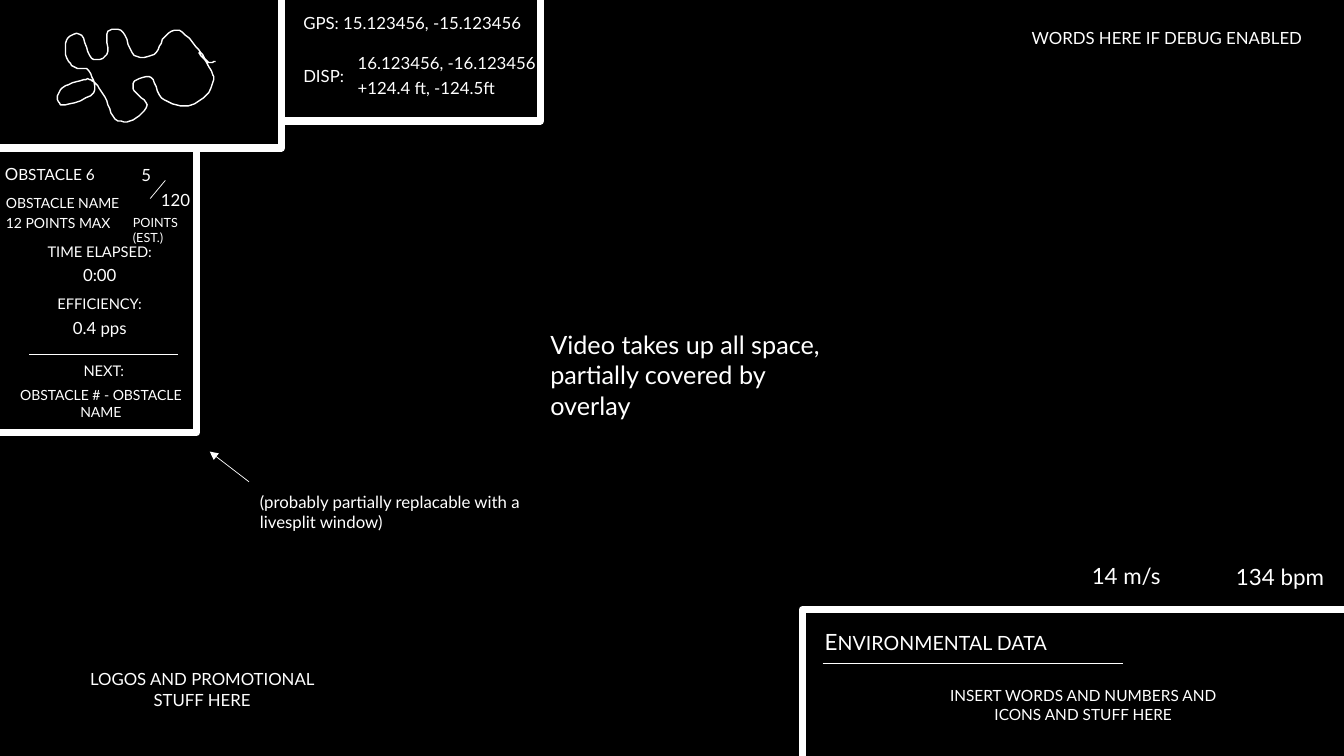
from lxml.etree import SubElement
from pptx import Presentation
from pptx.dml.color import RGBColor
from pptx.enum.shapes import MSO_CONNECTOR, MSO_SHAPE
from pptx.enum.text import MSO_ANCHOR, MSO_AUTO_SIZE, PP_ALIGN
from pptx.oxml.ns import qn
from pptx.util import Inches, Pt

BLACK = RGBColor(0, 0, 0)
WHITE = RGBColor(255, 255, 255)
FONT = "Lato"
CELL = Inches(0.1)  # square grid: 133.3 columns by 75 rows
LEFT, CENTER = PP_ALIGN.LEFT, PP_ALIGN.CENTER
WIDE, PANEL = 29.3, 21.6  # common text widths, in columns

# Bends of the course, in tenths of a grid cell
BENDS = [
    (214, 61), (206, 61), (197, 49), (178, 30), (163, 37), (153, 54),
    (133, 55), (122, 32), (107, 31), (106, 54), (91, 58), (81, 35),
    (67, 38), (66, 57), (75, 67), (88, 70), (93, 92), (65, 104),
    (57, 98), (62, 87), (83, 79), (93, 81), (104, 96), (114, 118),
    (132, 119), (146, 104), (133, 90), (134, 80), (150, 77), (160, 97),
    (183, 105), (202, 97), (212, 79), (206, 64), (197, 52),
]


def grid(*cells):
    return [int(n * CELL) for n in cells]


def smooth(bends, steps=6):
    """Points of a Catmull-Rom curve through the bends."""
    ends = [bends[0], *bends, bends[-1]]
    curve = [bends[0]]
    for a, b, c, d in zip(ends, ends[1:], ends[2:], ends[3:]):
        for t in (k / steps for k in range(1, steps + 1)):
            curve.append(tuple(
                q + t * (r - p + t * (2 * p - 5 * q + 4 * r - s
                                      + t * (3 * (q - r) + s - p))) / 2
                for p, q, r, s in zip(a, b, c, d)))
    return curve


def write(sp, words, size=12, lead=None, align=LEFT):
    """Fill a shape with white text; lead is the size of the first letter."""
    tf = sp.text_frame
    tf.word_wrap = True
    tf.auto_size = MSO_AUTO_SIZE.SHAPE_TO_FIT_TEXT
    tf.vertical_anchor = MSO_ANCHOR.TOP
    p = tf.paragraphs[0]
    p.alignment = align
    p.line_spacing = 1.0
    p.space_before = Pt(0)
    parts = [(words[0], lead), (words[1:], size)] if lead else [(words, size)]
    for part, points in parts:
        r = p.add_run()
        r.text = part
        r.font.name = FONT
        r.font.size = Pt(points)
        r.font.color.rgb = WHITE


def add_text(shapes, words, left, top, width=WIDE, height=3, **fmt):
    write(shapes.add_textbox(*grid(left, top, width, height)), words, **fmt)


def outline(sp, points):
    sp.fill.background()
    sp.line.color.rgb = WHITE
    sp.line.width = Pt(points)
    sp.shadow.inherit = False


def add_frame(shapes, left, top, width, height):
    sp = shapes.add_shape(MSO_SHAPE.RECTANGLE, *grid(left, top, width, height))
    outline(sp, 5.25)


def add_line(shapes, x1, y1, x2, y2, arrow=False):
    line = shapes.add_connector(MSO_CONNECTOR.STRAIGHT, *grid(x1, y1, x2, y2))
    line.line.color.rgb = WHITE
    line.line.width = Pt(0.5)
    if arrow:
        SubElement(line.line._get_or_add_ln(), qn("a:tailEnd"), type="triangle")
    SubElement(line._element.spPr, qn("a:effectLst"))


def add_track(shapes):
    start, *rest = smooth(BENDS)
    builder = shapes.build_freeform(*start, scale=CELL / 10)
    builder.add_line_segments(rest, close=False)
    outline(builder.convert_to_shape(), 1)


def add_obstacle_panel(shapes):
    add_frame(shapes, -2.1, 14.7, PANEL, 28.2)
    add_text(shapes, "OBSTACLE 6", -0.5, 15.8, 11.7, size=11, lead=12)
    for row, words in enumerate(("OBSTACLE NAME", "12 POINTS MAX")):
        add_text(shapes, words, -0.4, 18.8 + 2 * row, PANEL, size=10)

    # Timing and efficiency: a label with its value below
    pairs = (("TIME ELAPSED:", "0:00"), ("EFFICIENCY:", "0.4 pps"))
    for row, (label, value) in enumerate(pairs):
        top = 23.6 + 5.2 * row
        add_text(shapes, label, -0.9, top, PANEL, size=10.5, align=CENTER)
        add_text(shapes, value, -0.9, top + 2.2, PANEL, align=CENTER)

    # Next obstacle
    add_line(shapes, 2.9, 35.2, 17.7, 35.2)
    add_text(shapes, "NEXT:", -0.5, 35.4, PANEL, size=10.5, align=CENTER)
    add_text(shapes, "OBSTACLE # - OBSTACLE NAME", -0.8, 37.9, PANEL,
             size=10, align=CENTER)

    # Score
    add_text(shapes, "5", 12.7, 15.9, 3.6, align=CENTER)
    add_line(shapes, 14.9, 19.7, 16.4, 17.9)
    add_text(shapes, "120", 13.9, 18.3, 7, align=CENTER)
    add_text(shapes, "POINTS (EST.)", 12.2, 20.8, 8.7, size=9)


def add_position_panel(shapes):
    add_text(shapes, "GPS: 15.123456, -15.123456", 29.1, 0.8)
    add_text(shapes, "DISP:", 29.1, 6)
    for row, words in enumerate(("16.123456, -16.123456", "+124.4 ft, -124.5ft")):
        add_text(shapes, words, 34.5, 4.7 + 2.5 * row)


def add_environment_panel(shapes):
    add_frame(shapes, 79.6, 60.5, 55.4, 17.6)
    title = shapes.title
    title.left, title.top, title.width, title.height = grid(80.8, 61.8, WIDE, 3.7)
    write(title, "ENVIRONMENTAL DATA", size=14, lead=16)
    add_line(shapes, 81.6, 65.8, 111.4, 65.8)
    add_text(shapes, "INSERT WORDS AND NUMBERS AND ICONS AND STUFF HERE",
             92.8, 67.6, height=4.7, size=11, align=CENTER)


def main():
    prs = Presentation()
    prs.slide_width, prs.slide_height = Inches(13.33), Inches(7.5)
    s = prs.slides.add_slide(prs.slide_layouts[5])
    s.background.fill.solid()
    s.background.fill.fore_color.rgb = BLACK
    shapes = s.shapes

    # Overlay panels
    add_obstacle_panel(shapes.add_group_shape().shapes)
    add_track(shapes)
    add_position_panel(shapes.add_group_shape().shapes)
    add_environment_panel(shapes)
    add_frame(shapes, -1.8, -2.6, 29.7, 17.3)
    add_frame(shapes, 27.9, -2.6, 25.7, 14.6)

    # Free text over the video
    add_text(shapes, "WORDS HERE IF DEBUG ENABLED", 101.1, 2.3, align=CENTER)
    add_text(shapes, "LOGOS AND PROMOTIONAL STUFF HERE", 5.4, 65.9, height=5,
             align=CENTER)
    add_text(shapes, "14 m/s", 107.3, 55.3, 9.9, 3.7, size=16)
    add_text(shapes, "134 bpm", 121.6, 55.4, 11.8, 3.7, size=16)
    add_text(shapes, "Video takes up all space, partially covered by overlay",
             53.6, 32.2, height=10.1, size=18)

    # Remark on the obstacle panel
    add_line(shapes, 24.7, 47.8, 20.8, 44.8, arrow=True)
    add_text(shapes, "(probably partially replacable with a livesplit window)",
             24.8, 48.3, height=5)

    prs.save("out.pptx")


if __name__ == "__main__":
    main()
